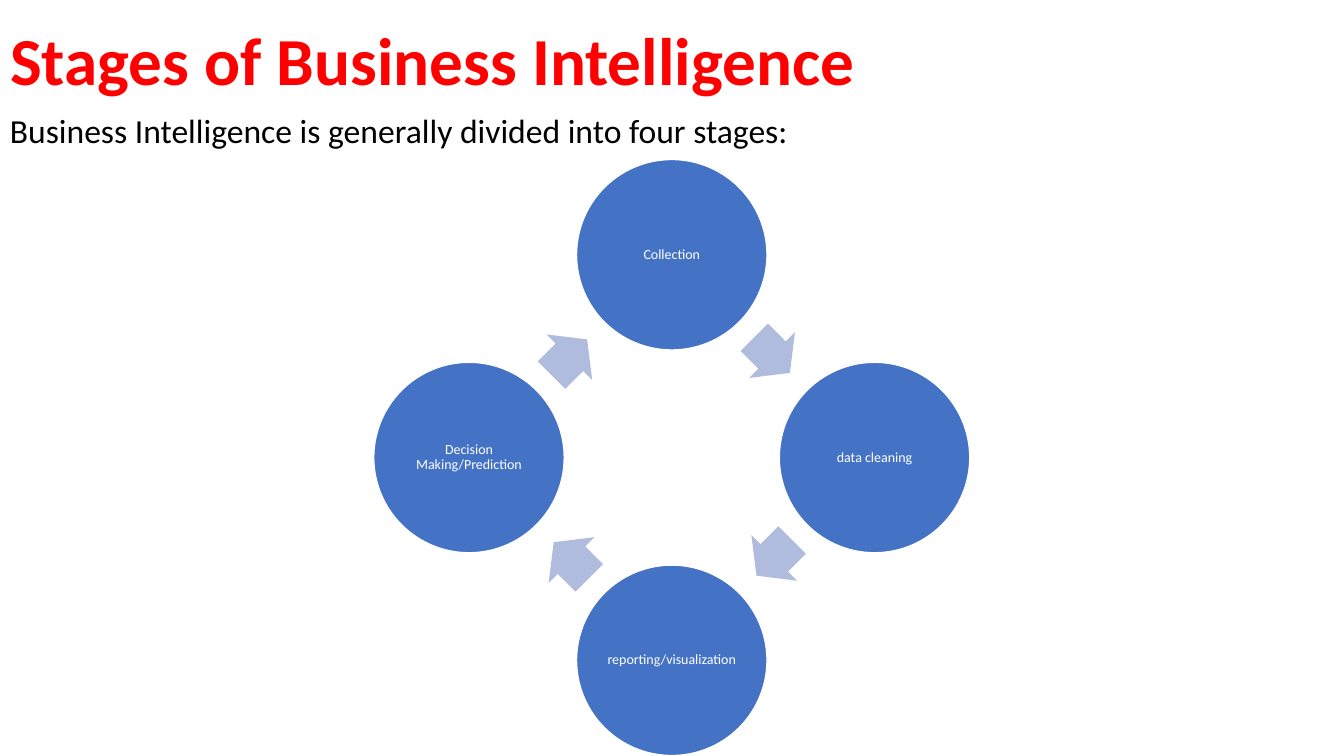
import math
from dataclasses import dataclass

from pptx import Presentation
from pptx import util as u
from pptx.dml.color import RGBColor
from pptx.enum import shapes, text


@dataclass(frozen=True)
class Theme:
    font: str = "Calibri"
    title: str = "FF0000"
    body: str = "000000"
    disc: str = "4472C4"
    light: str = "FFFFFF"
    arrow: str = "B0BCDE"
    big: int = 48
    mid: int = 24
    small: int = 10


THEME = Theme()
STAGES = ["Collection", "data cleaning", "reporting/visualization",
          "Decision Making/Prediction"]
WIDTH, HEIGHT = 33.87, 19.05
MID_X, MID_Y = 16.93, 11.53
RING, DISC = 5.11, 4.8
ARROW_W, ARROW_H = 1.27, 1.63
LAG = 0.6  # degrees each arrow sits behind the midpoint of its gap


def apply(item, **values):
    for name, value in values.items():
        setattr(item, name, value)


def place(shape, left, top, width, height):
    apply(shape, left=u.Cm(left), top=u.Cm(top),
          width=u.Cm(width), height=u.Cm(height))


def write(shape, words, size, color, bold=False,
          align=text.PP_ALIGN.LEFT, anchor=text.MSO_ANCHOR.TOP):
    frame = shape.text_frame
    frame.text = words
    apply(frame, word_wrap=True, auto_size=text.MSO_AUTO_SIZE.NONE,
          vertical_anchor=anchor)
    para = frame.paragraphs[0]
    apply(para, alignment=align, line_spacing=0.9, space_before=u.Pt(0))
    font = para.runs[0].font
    apply(font, name=THEME.font, size=u.Pt(size), bold=bold)
    font.color.rgb = RGBColor.from_string(color)


def ring_shape(slide, kind, angle, radius, width, height, fill):
    """Add a filled shape centred on the ring; angle 0 is the top, clockwise."""
    turn = math.radians(angle)
    left = MID_X + radius * math.sin(turn) - width / 2
    top = MID_Y - radius * math.cos(turn) - height / 2
    shape = slide.shapes.add_shape(
        kind, u.Cm(left), u.Cm(top), u.Cm(width), u.Cm(height))
    shape.shadow.inherit = False
    shape.fill.solid()
    shape.fill.fore_color.rgb = RGBColor.from_string(fill)
    return shape


def add_stage(slide, words, angle):
    disc = ring_shape(slide, shapes.MSO_SHAPE.OVAL, angle, RING,
                      DISC, DISC, THEME.disc)
    disc.line.color.rgb = RGBColor.from_string(THEME.light)
    disc.line.width = u.Pt(1)
    pad = u.Cm(0.03)
    apply(disc.text_frame, margin_left=pad, margin_right=pad,
          margin_top=pad, margin_bottom=pad)
    write(disc, words, THEME.small, THEME.light,
          align=text.PP_ALIGN.CENTER, anchor=text.MSO_ANCHOR.MIDDLE)


def add_arrow(slide, angle):
    arrow = ring_shape(slide, shapes.MSO_SHAPE.RIGHT_ARROW, angle - LAG,
                       RING / math.sqrt(2), ARROW_W, ARROW_H, THEME.arrow)
    arrow.line.fill.background()
    arrow.adjustments[0] = 0.6
    arrow.adjustments[1] = 0.5
    arrow.rotation = angle


def add_cycle(slide, stages):
    step = 360 / len(stages)
    for i, words in enumerate(stages):
        add_stage(slide, words, i * step)
        add_arrow(slide, (i + 0.5) * step)


def main():
    deck = Presentation()
    apply(deck, slide_width=u.Cm(WIDTH), slide_height=u.Cm(HEIGHT))
    slide = deck.slides.add_slide(deck.slide_layouts[5])

    title = slide.shapes.title
    place(title, 0, 0, WIDTH, 2.64)
    write(title, "Stages of Business Intelligence", THEME.big, THEME.title,
          bold=True, anchor=text.MSO_ANCHOR.BOTTOM)

    intro = slide.shapes.add_textbox(0, 0, 0, 0)
    place(intro, 0, 2.77, WIDTH, 1.83)
    write(intro, "Business Intelligence is generally divided into four stages:",
          THEME.mid, THEME.body)

    add_cycle(slide, STAGES)
    deck.save("out.pptx")


if __name__ == "__main__":
    main()
